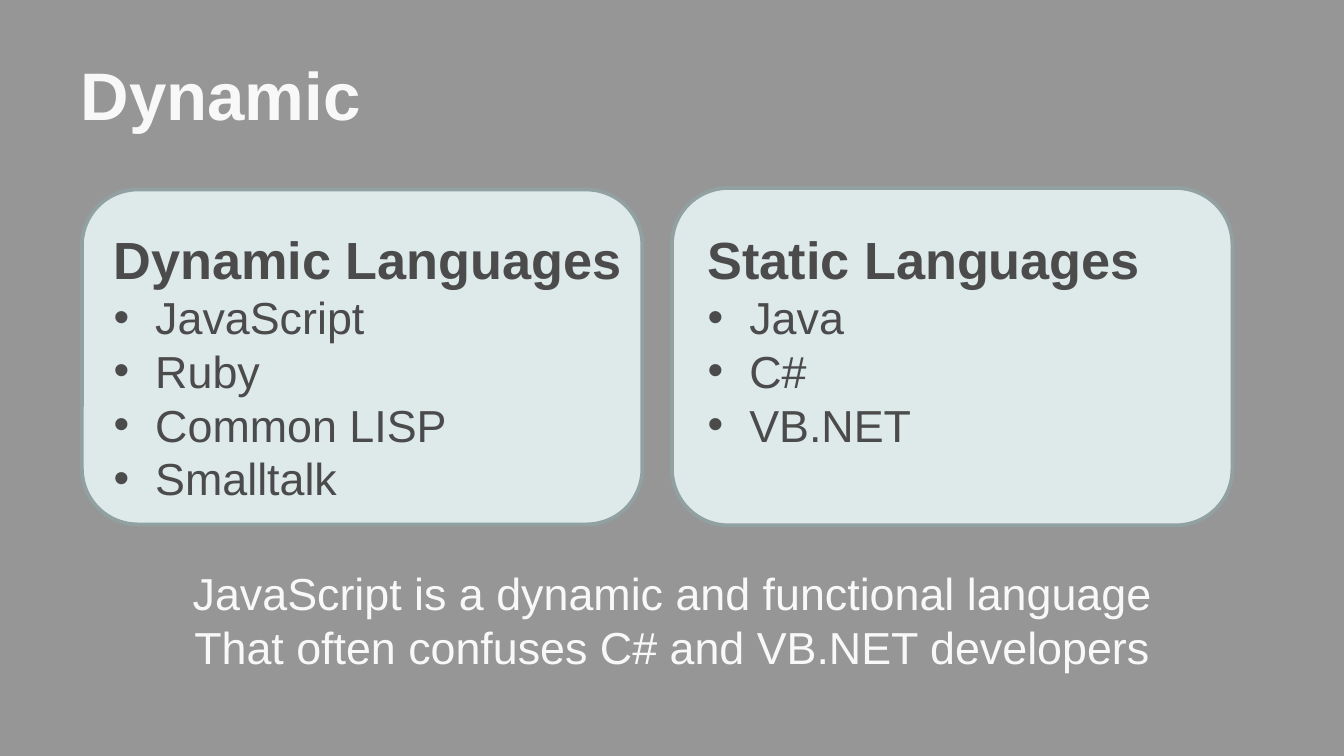
"""Build a slide that sets dynamic languages beside static ones."""
from dataclasses import dataclass

from lxml.etree import SubElement
from pptx import Presentation
from pptx.dml.color import RGBColor
from pptx.enum.shapes import MSO_SHAPE
from pptx.enum.text import MSO_ANCHOR, MSO_AUTO_SIZE, PP_ALIGN
from pptx.oxml.ns import qn
from pptx.util import Inches, Pt

WIDE = Inches(10)
HIGH = WIDE * 9 // 16
GREY, PALE, EDGE, DARK, LIGHT = "969696", "DEE9EA", "91A0A1", "4B4B4B", "F8F8F8"


@dataclass
class Box:
    """Place on the slide, in percent of its width and height."""
    left: float
    top: float
    width: float
    height: float

    def area(self) -> tuple[int, int, int, int]:
        """Return the place in slide units."""
        return (int(WIDE * self.left / 100), int(HIGH * self.top / 100),
                int(WIDE * self.width / 100), int(HIGH * self.height / 100))


@dataclass
class Card:
    """Panel with a heading and a list of languages."""
    panel: Box
    label: Box
    head: str
    items: list[str]


CARDS = [
    Card(Box(6.1, 25.07, 41.7, 44.3), Box(7.47, 29.17, 40.8, 38.93),
         "Dynamic Languages", ["JavaScript", "Ruby", "Common LISP", "Smalltalk"]),
    Card(Box(50, 24.87, 41.7, 44.62), Box(51.67, 29.17, 40.8, 31.64),
         "Static Languages", ["Java", "C#", "VB.NET"]),
]
CLAIM = ["JavaScript is a dynamic and functional language",
         "That often confuses C# and VB.NET developers"]


def paint(target, color: str) -> None:
    """Give a fill one solid colour."""
    target.solid()
    target.fore_color.rgb = RGBColor.from_string(color)


def write(frame, text: str, *, size: int = 24, color: str = DARK,
          bold: bool = False, align=PP_ALIGN.LEFT, bullet: bool = False) -> None:
    """Put a paragraph in a frame, using its first one while that is empty."""
    para = frame.paragraphs[0] if not frame.text else frame.add_paragraph()
    para.alignment = align
    run = para.add_run()
    run.text = text
    run.font.name, run.font.size, run.font.bold = "Arial", Pt(size), bold
    paint(run.font.fill, color)
    if bullet:
        props = para._p.get_or_add_pPr()
        props.set("marL", str(Inches(0.31)))
        props.set("indent", str(-Inches(0.31)))
        SubElement(props, qn("a:buFont"), typeface="Arial")
        SubElement(props, qn("a:buChar"), char="•")


def label(slide, box: Box):
    """Add a wrapping text box that grows with its text and return its frame."""
    frame = slide.shapes.add_textbox(*box.area()).text_frame
    frame.word_wrap = True
    frame.auto_size = MSO_AUTO_SIZE.SHAPE_TO_FIT_TEXT
    return frame


def draw(slide, card: Card) -> None:
    """Draw a rounded panel with its heading and list."""
    panel = slide.shapes.add_shape(MSO_SHAPE.ROUNDED_RECTANGLE, *card.panel.area())
    panel.shadow.inherit = False
    paint(panel.fill, PALE)
    paint(panel.line.fill, EDGE)
    panel.line.width = Pt(2)
    frame = label(slide, card.label)
    write(frame, card.head, size=28, bold=True)
    for item in card.items:
        write(frame, item, bullet=True)


def main() -> None:
    """Build and save the slide."""
    deck = Presentation()
    deck.slide_width, deck.slide_height = WIDE, HIGH
    slide = deck.slides.add_slide(deck.slide_layouts[5])
    paint(slide.background.fill, GREY)
    title = slide.shapes.title
    title.left, title.top, title.width, title.height = Box(5, 4.09, 90, 16.71).area()
    title.text_frame.vertical_anchor = MSO_ANCHOR.MIDDLE
    write(title.text_frame, "Dynamic", size=36, color=LIGHT, bold=True)
    for card in CARDS:
        draw(slide, card)
    claim = label(slide, Box(11.05, 73.98, 77.9, 16.18))
    for line in CLAIM:
        write(claim, line, color=LIGHT, align=PP_ALIGN.CENTER)
    deck.save("out.pptx")


if __name__ == "__main__":
    main()
